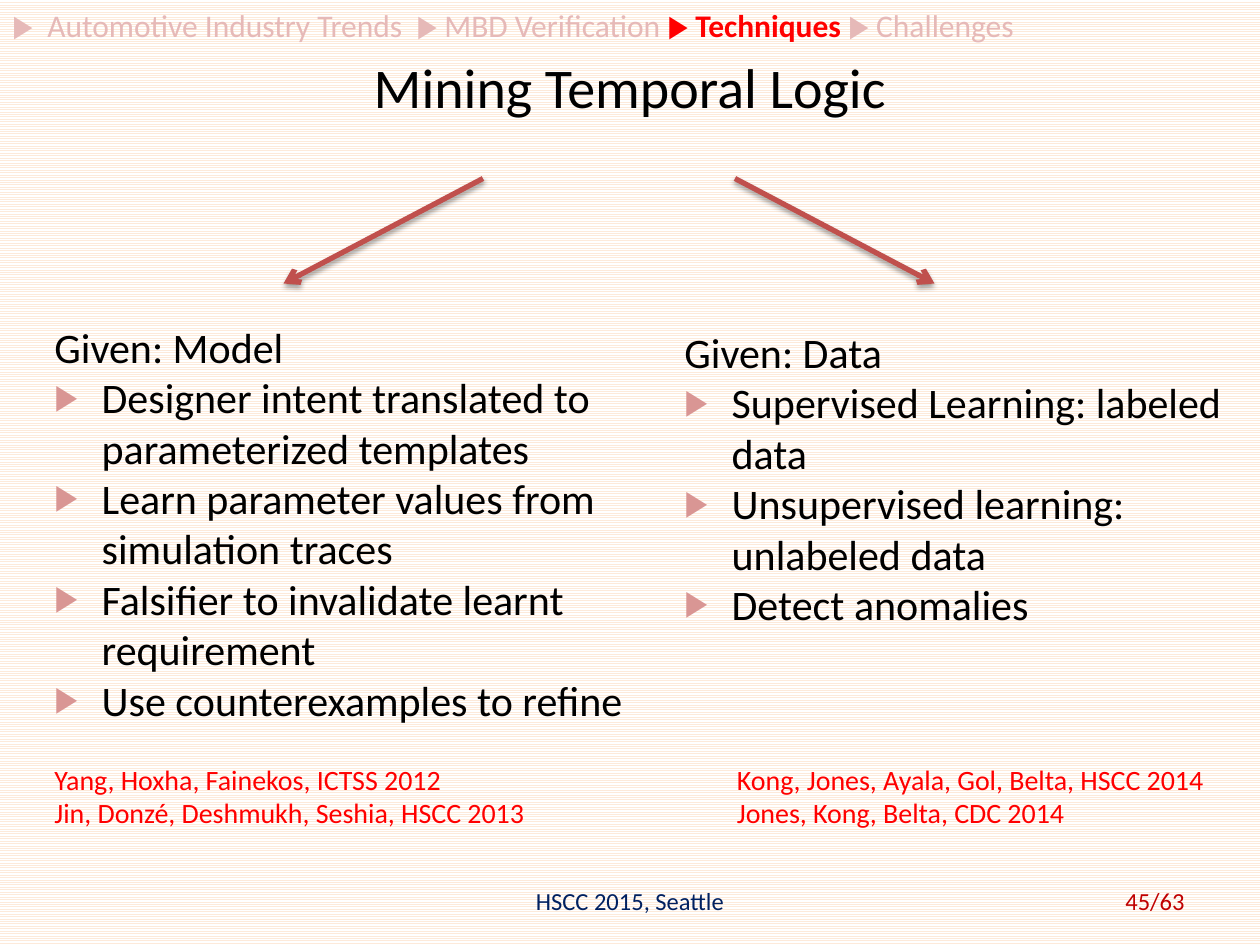
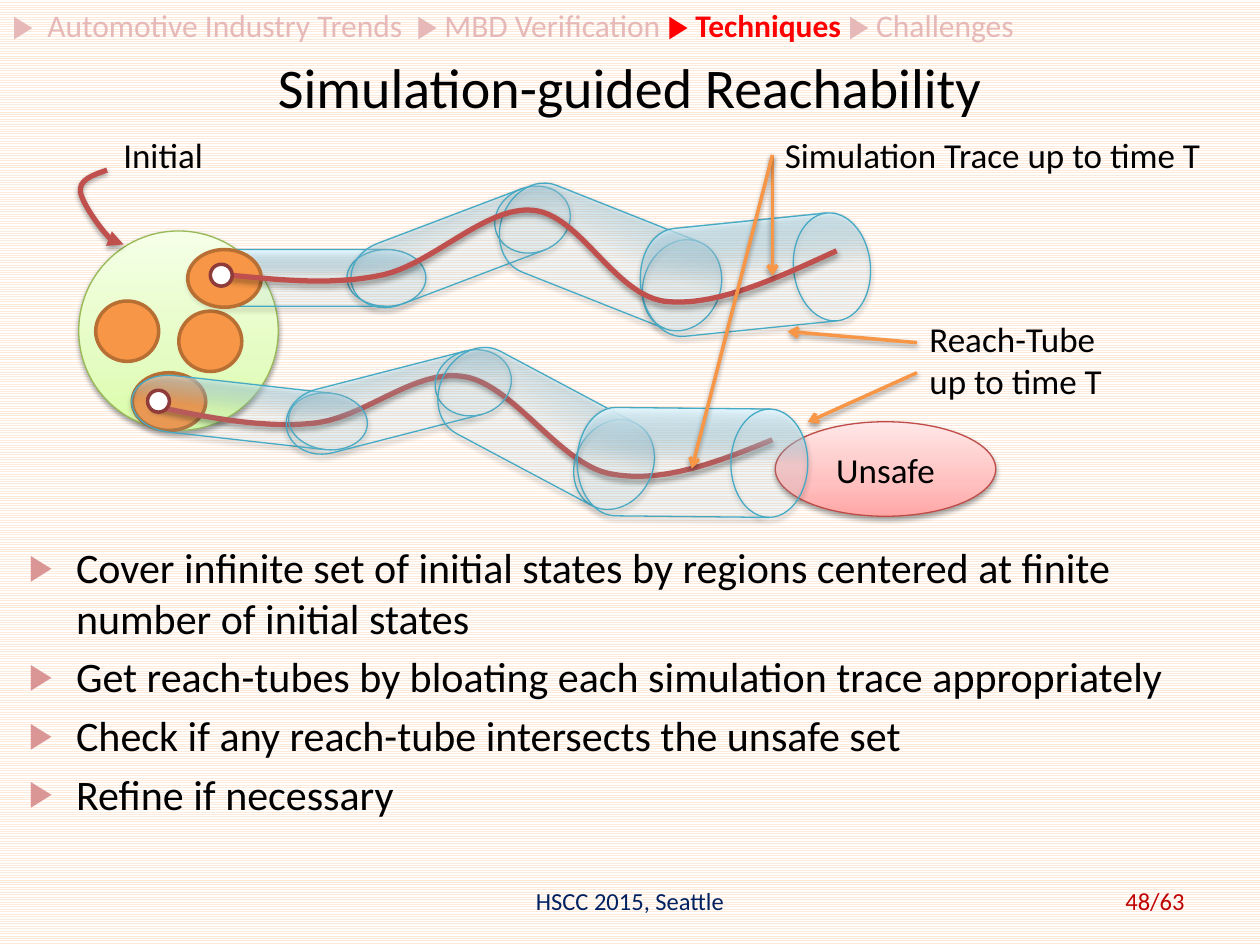
"""Build two slides on temporal logic mining and simulation-guided reachability."""
from lxml.etree import SubElement
from pptx import Presentation
from pptx.dml.color import RGBColor
from pptx.enum.dml import MSO_PATTERN
from pptx.enum.shapes import MSO_CONNECTOR, MSO_SHAPE
from pptx.enum.text import MSO_ANCHOR as ANCHOR, PP_ALIGN as ALIGN
from pptx.oxml.ns import qn
from pptx.util import Pt

rgb = RGBColor.from_string

FONT = "Calibri"
BLACK, WHITE, RED = "000000", "FFFFFF", "FF0000"
NAVY, DARK_RED, PALE_RED = "002060", "C00000", "E6B9B8"
BRICK, ORANGE, BULLET = "C0504D", "F79646", "D99694"
BODY = 24
INDENT = 27


def write(shape, text, size=20, color=BLACK, align=ALIGN.LEFT, anchor=ANCHOR.TOP,
          wrap=True, first_bullet=None, gap=0, highlight=None, tabs=()):
    frame = shape.text_frame
    frame.word_wrap = wrap
    frame.vertical_anchor = anchor
    for index, line in enumerate(text.split("\n")):
        paragraph = frame.add_paragraph() if index else frame.paragraphs[0]
        paragraph.alignment = align
        props = paragraph._p.get_or_add_pPr()
        if first_bullet is not None and index >= first_bullet:
            props.set("marL", str(Pt(INDENT)))
            props.set("indent", str(-Pt(INDENT)))
            SubElement(SubElement(props, qn("a:buClr")), qn("a:srgbClr"), val=BULLET)
            SubElement(props, qn("a:buSzPct"), val="85000")
            SubElement(props, qn("a:buFont"), typeface=FONT)
            SubElement(props, qn("a:buChar"), char="▶")
        if tabs:
            stops = SubElement(props, qn("a:tabLst"))
            for position in tabs:
                SubElement(stops, qn("a:tab"), pos=str(Pt(position)), algn="l")
        if index and gap:
            paragraph.space_before = Pt(gap)
        for piece in line.partition(highlight) if highlight else [line]:
            run = paragraph.add_run()
            run.text = piece
            run.font.name = FONT
            run.font.size = Pt(size)
            run.font.bold = piece == highlight
            run.font.color.rgb = rgb(RED if piece == highlight else color)


def style(shape, line, width, fill=None, shadow=True, head=None):
    props = shape._element.spPr
    if isinstance(fill, str):
        shape.fill.solid()
        shape.fill.fore_color.rgb = rgb(fill)
    elif fill:
        shape.fill.gradient()
        shape.fill.gradient_angle = 90
        stops = props.find(".//" + qn("a:gsLst"))
        for stop in list(stops):
            stops.remove(stop)
        for position, color, opacity in fill:
            stop = SubElement(stops, qn("a:gs"), pos=str(position * 1000))
            tint = SubElement(stop, qn("a:srgbClr"), val=color)
            SubElement(tint, qn("a:alpha"), val=str(opacity * 1000))
    elif hasattr(shape, "fill"):
        shape.fill.background()
    shape.line.color.rgb = rgb(line)
    shape.line.width = Pt(width)
    if head:
        SubElement(props.find(qn("a:ln")), qn("a:tailEnd"), type=head)
    effects = SubElement(props, qn("a:effectLst"))
    if shadow:
        outer = SubElement(effects, qn("a:outerShdw"), blurRad=str(Pt(3.1)), dist=str(Pt(1.7)),
                           dir="5400000", rotWithShape="0")
        shade = SubElement(outer, qn("a:srgbClr"), val=BLACK)
        SubElement(shade, qn("a:alpha"), val="37000")


deck = Presentation()
deck.slide_width, deck.slide_height = Pt(720), Pt(540)
backdrop = deck.slide_master.background.fill
backdrop.patterned()
backdrop.pattern = MSO_PATTERN.LIGHT_HORIZONTAL
backdrop.fore_color.rgb = rgb("FDEADA")
backdrop.back_color.rgb = rgb(WHITE)

for title, page in [("Mining Temporal Logic", "45/63"),
                    ("Simulation-guided Reachability", "48/63")]:
    shapes = deck.slides.add_slide(deck.slide_layouts[6]).shapes
    write(shapes.add_textbox(0, Pt(22), Pt(720), Pt(55)), title, size=32,
          align=ALIGN.CENTER, anchor=ANCHOR.MIDDLE)
    write(shapes.add_textbox(0, 0, Pt(720), Pt(29)),
          "▶\tAutomotive Industry Trends\t▶ MBD Verification ▶ Techniques ▶ Challenges",
          size=18, color=PALE_RED, highlight="▶ Techniques ", tabs=(20, 231))
    write(shapes.add_textbox(Pt(246), Pt(500.5), Pt(228), Pt(28.8)), "HSCC 2015, Seattle",
          size=14, color=NAVY, align=ALIGN.CENTER, anchor=ANCHOR.MIDDLE)
    write(shapes.add_textbox(Pt(516), Pt(500.5), Pt(168), Pt(28.8)), page,
          size=14, color=DARK_RED, align=ALIGN.RIGHT, anchor=ANCHOR.MIDDLE)

mining, reachability = (slide.shapes for slide in deck.slides)

for start_x, end_x in [(276, 162), (420, 534)]:
    branch = mining.add_connector(MSO_CONNECTOR.STRAIGHT,
                                  Pt(start_x), Pt(102), Pt(end_x), Pt(162))
    style(branch, BRICK, 3, head="arrow")

for box, approach in [
    ((24, 180, 348, 240),
     "Given: Model\nDesigner intent translated to parameterized templates\n"
     "Learn parameter values from simulation traces\n"
     "Falsifier to invalidate learnt requirement\nUse counterexamples to refine"),
    ((384, 183, 336, 181),
     "Given: Data\nSupervised Learning: labeled data\n"
     "Unsupervised learning: unlabeled data\nDetect anomalies"),
]:
    write(mining.add_textbox(*map(Pt, box)), approach, size=BODY, first_bullet=1)

for left, citations in [
    (24, "Yang, Hoxha, Fainekos, ICTSS 2012\nJin, Donzé, Deshmukh, Seshia, HSCC 2013"),
    (414, "Kong, Jones, Ayala, Gol, Belta, HSCC 2014\nJones, Kong, Belta, CDC 2014"),
]:
    write(mining.add_textbox(Pt(left), Pt(432), Pt(286), Pt(66)), citations,
          size=16, color=RED, wrap=False)

unsafe = reachability.add_shape(MSO_SHAPE.OVAL, Pt(443), Pt(241), Pt(126), Pt(54))
style(unsafe, "BF4C48", 0.75,
      [(0, "FFA6A5", 100), (35, "FFC0BF", 100), (100, "FFE7E7", 100)])
write(unsafe, "Unsafe", align=ALIGN.CENTER, anchor=ANCHOR.MIDDLE)
initial_set = reachability.add_shape(MSO_SHAPE.OVAL, Pt(45), Pt(132), Pt(114), Pt(114))
style(initial_set, "98B955", 0.75,
      [(0, "DAFDA7", 100), (35, "E4FCC2", 100), (100, "F5FFE7", 100)])

tube_fill = [(51, "A7E6FF", 9), (100, "E7F8FF", 100)]
tube_sizes = [(135.4, 32.4), (131.8, 37.4), (131.8, 53.3), (131.8, 61.9)]
upper_tubes = [(108, 142.6, 0), (197.3, 122.4, -20.8), (283, 120.2, 21.6), (365.8, 126, -5.8)]
lower_tubes = [(74.9, 219.6, 6.4), (162, 211, -14.4), (246.2, 218.2, 28), (329.8, 233.3, 0.6)]
region = (42, 33, ORANGE, "B76F34")
small_region = (36, 34.5, ORANGE, "B76F34")
state = (12.5, 12.5, WHITE, "8E3B39")
lower_trace = [(86.4, 231.8), (117.4, 238.3), (149, 244.8), (178.6, 241.9), (208.8, 239),
               (236.9, 210.2), (265.7, 215.3), (293.8, 220.3), (319.7, 265), (348.5, 270.7),
               (378, 276.5), (409.7, 264.2), (441.4, 251.3)]
upper_trace = [(128.9, 157), (159.1, 159.8), (189.4, 163.4), (218.9, 157), (247.7, 150.5),
               (277.9, 117.4), (304.6, 120.2), (331.2, 122.4), (350.6, 167.8), (379.4, 172.1),
               (408.2, 175.7), (443.5, 159.1), (478.1, 143.3)]
initial_pointer = [(61.2, 97.2), (52.6, 100.1), (44.6, 103), (46.1, 110.2),
                   (47.5, 116.6), (67, 146.2), (70.6, 139.7)]

layers = [
    ([], [(75.6, 213, region), (54.7, 172, small_region), (102.2, 177.8, small_region)],
     lower_trace, None),
    ([*zip(upper_tubes, tube_sizes), *zip(lower_tubes, tube_sizes)],
     [(84.3, 223, state), (107.3, 142.6, region)], upper_trace, None),
    ([], [(120.2, 151, state)], initial_pointer, "triangle"),
]
for tubes, ovals, controls, head in layers:
    for (left, top, angle), (width, height) in tubes:
        tube = reachability.add_shape(MSO_SHAPE.FLOWCHART_DIRECT_ACCESS_STORAGE,
                                      Pt(left), Pt(top), Pt(width), Pt(height))
        tube.rotation = angle
        style(tube, "46AAC5", 0.75, tube_fill)
    for left, top, (width, height, fill, outline) in ovals:
        oval = reachability.add_shape(MSO_SHAPE.OVAL, Pt(left), Pt(top), Pt(width), Pt(height))
        style(oval, outline, 2, fill, shadow=False)
    points = [(Pt(x), Pt(y)) for x, y in controls]
    builder = reachability.build_freeform(*points[0])
    builder.add_line_segments(points[1:], close=False)
    curve = builder.convert_to_shape()
    segments = iter(curve._element.findall(".//" + qn("a:lnTo")))
    for bend, second, third in zip(segments, segments, segments):
        bend.tag = qn("a:cubicBezTo")
        for segment in (second, third):
            bend.append(segment[0])
            segment.getparent().remove(segment)
    style(curve, BRICK, 3, head=head)

write(reachability.add_textbox(Pt(63.4), Pt(72.7), Pt(60.5), Pt(31.7)), "Initial", wrap=False)
write(reachability.add_textbox(Pt(524), Pt(177.8), Pt(124.6), Pt(55.4)),
      "Reach-Tube up to time T")
trace_label = reachability.add_textbox(Pt(441.4), Pt(72.7), Pt(255), Pt(31.7))
write(trace_label, "Simulation Trace up to time T", wrap=False)

for label, start, end in [
    (trace_label, (441.4, 88.6), (441.4, 157.7)),
    (trace_label, (441.4, 88.6), (395.3, 267.8)),
    (None, (524, 195.8), (450, 189.4)),
    (None, (524, 213), (461.5, 241.2)),
]:
    pointer = reachability.add_connector(MSO_CONNECTOR.STRAIGHT, *map(Pt, start + end))
    if label:
        pointer.begin_connect(label, 1)
    style(pointer, ORANGE, 2, head="arrow")

write(reachability.add_textbox(Pt(9.4), Pt(306), Pt(710.6), Pt(170)),
      "Cover infinite set of initial states by regions centered at finite number of initial states\n"
      "Get reach-tubes by bloating each simulation trace appropriately\n"
      "Check if any reach-tube intersects the unsafe set\nRefine if necessary",
      size=BODY, first_bullet=0, gap=4.8)

deck.save("out.pptx")
